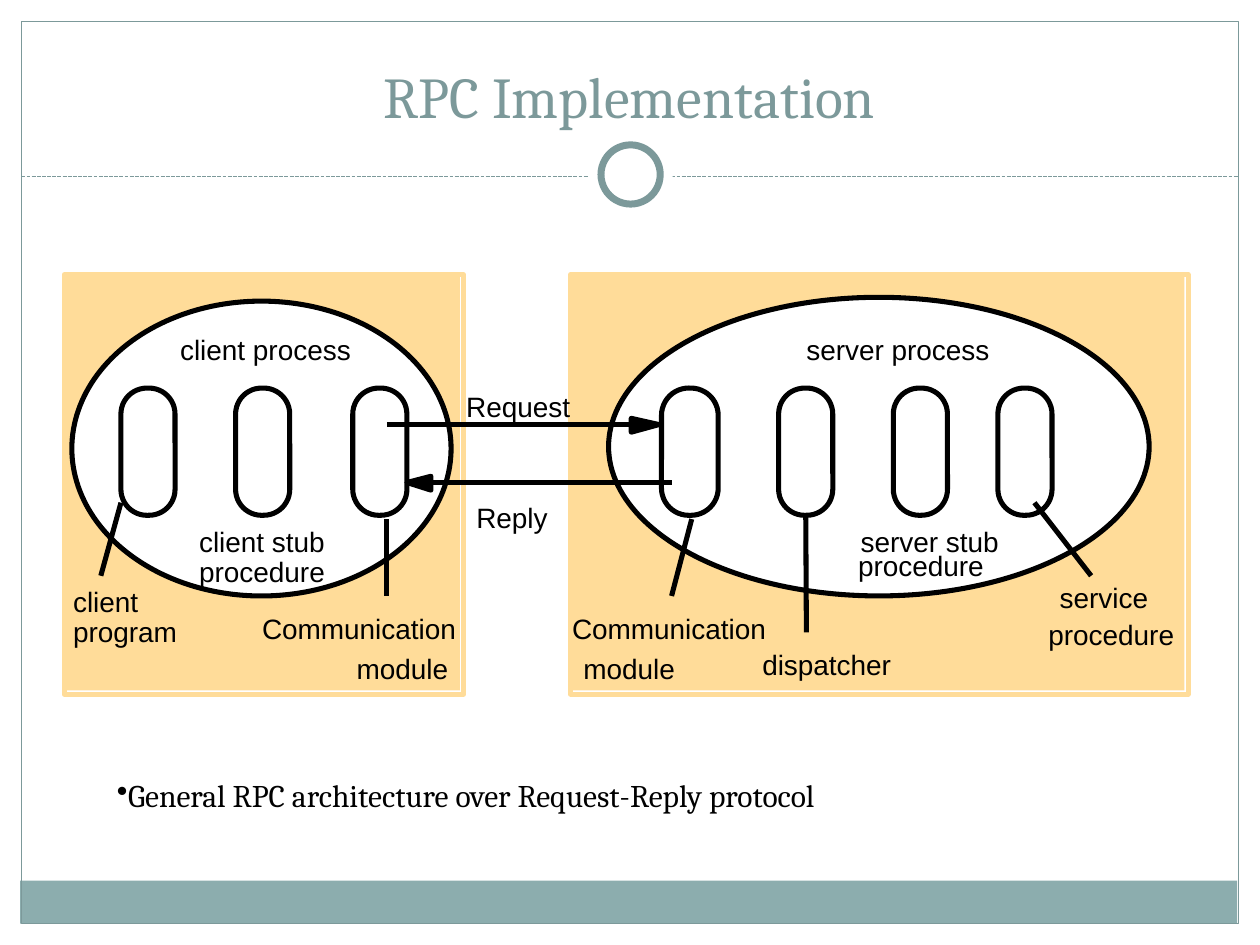
from dataclasses import dataclass

from lxml.etree import SubElement
from pptx import Presentation
from pptx.dml.color import RGBColor
from pptx.enum.dml import MSO_LINE
from pptx.enum.shapes import MSO_CONNECTOR, MSO_SHAPE
from pptx.enum.text import MSO_ANCHOR, PP_ALIGN
from pptx.oxml.ns import qn
from pptx.util import Inches, Pt


@dataclass(frozen=True)
class Theme:
    white: RGBColor = RGBColor.from_string("FFFFFF")
    ink: RGBColor = RGBColor.from_string("000000")
    teal: RGBColor = RGBColor.from_string("7C999A")
    footer: RGBColor = RGBColor.from_string("8CADAE")
    panel: RGBColor = RGBColor.from_string("FFDC99")
    heading_font: str = "Cambria"
    label_font: str = "Arial"
    title_size: Pt = Pt(33)
    note_size: Pt = Pt(18)
    label_size: Pt = Pt(16)
    stroke: Pt = Pt(2.88)
    thin: Pt = Pt(0.75)
    ring: Pt = Pt(4)


theme = Theme()
deck = Presentation()
deck.slide_width = Inches(10)
deck.slide_height = Inches(7.5)
page = deck.slides.add_slide(deck.slide_layouts[6])


def style_shape(shape, fill=None, line=None, width=theme.stroke):
    shape.shadow.inherit = False
    if fill is None:
        shape.fill.background()
    else:
        shape.fill.solid()
        shape.fill.fore_color.rgb = fill
    if line is None:
        shape.line.fill.background()
    else:
        shape.line.color.rgb = line
        shape.line.width = width
    return shape


def add_line(start, end, color=theme.ink, width=theme.stroke):
    line = page.shapes.add_connector(MSO_CONNECTOR.STRAIGHT, *map(Inches, start + end))
    line.line.color.rgb = color
    line.line.width = width
    SubElement(line._element.spPr, qn("a:effectLst"))
    return line


footer = page.shapes.add_shape(MSO_SHAPE.RECTANGLE, Inches(0.16), Inches(6.99), Inches(9.66), Inches(0.34))
style_shape(footer, theme.footer)
frame = page.shapes.add_shape(MSO_SHAPE.RECTANGLE, Inches(0.17), Inches(0.17), Inches(9.66), Inches(7.16))
style_shape(frame, line=theme.teal, width=theme.thin)
divider = add_line((0.17, 1.4), (9.83, 1.4), theme.teal, theme.thin)
divider.line.dash_style = MSO_LINE.SQUARE_DOT
for inset, outline in ((0, None), (0.1, theme.teal)):
    size = Inches(0.67 - 2 * inset)
    circle = page.shapes.add_shape(MSO_SHAPE.OVAL, Inches(4.67 + inset), Inches(1.05 + inset), size, size)
    style_shape(circle, theme.white, outline, theme.ring)

title = page.shapes.add_textbox(Inches(0.33), Inches(0.25), Inches(9.33), Inches(0.83))
title.text_frame.word_wrap = True
title.text_frame.vertical_anchor = MSO_ANCHOR.BOTTOM
para = title.text_frame.paragraphs[0]
para.text = "RPC Implementation"
para.alignment = PP_ALIGN.CENTER
para.font.name = theme.heading_font
para.font.size = theme.title_size
para.font.color.rgb = theme.teal

for left, width in ((0.51, 3.14), (4.53, 4.87)):
    for growth, fill, outline in ((0, theme.panel, None), (0.03, None, theme.panel)):
        panel = page.shapes.add_shape(
            MSO_SHAPE.RECTANGLE, Inches(left), Inches(2.18), Inches(width + growth), Inches(3.3 + growth))
        style_shape(panel, fill, outline)

for left, top, width, height in ((4.83, 2.36, 4.29, 2.37), (0.57, 2.39, 3.01, 2.34)):
    process = page.shapes.add_shape(MSO_SHAPE.OVAL, Inches(left), Inches(top), Inches(width), Inches(height))
    style_shape(process, theme.white, theme.ink)

modules = {}
for name, left, width in (
    ("client program", 0.96, 0.43),
    ("client stub", 1.87, 0.43),
    ("client communication", 2.8, 0.43),
    ("server communication", 5.25, 0.45),
    ("dispatcher", 6.18, 0.43),
    ("server stub", 7.09, 0.43),
    ("service", 7.92, 0.43),
):
    module = page.shapes.add_shape(
        MSO_SHAPE.ROUNDED_RECTANGLE, Inches(left), Inches(3.08), Inches(width), Inches(1.01))
    module.adjustments[0] = 0.48
    modules[name] = style_shape(module, line=theme.ink)

for tail, base, tip, y in ((3.07, 5.01, 5.23, 3.37), (5.33, 3.42, 3.23, 3.83)):
    add_line((tail, y), (base, y))
    builder = page.shapes.build_freeform(Inches(base), Inches(y - 0.05))
    builder.add_line_segments([(Inches(tip), Inches(y)), (Inches(base), Inches(y + 0.06))])
    style_shape(builder.convert_to_shape(), theme.ink, theme.ink)

for start, end in (
    ((0.8, 4.57), (0.96, 3.99)),
    ((3.07, 4.73), (3.07, 4.12)),
    ((5.33, 4.73), (5.49, 4.12)),
    ((8.66, 4.57), (8.21, 3.99)),
):
    add_line(start, end)
dispatcher_line = add_line((6.4, 5.02), (6.4, 4.09))
dispatcher_line.end_connect(modules["dispatcher"], 2)

for text, left, top, width in (
    ("client process", 1.43, 2.64, 1.43),
    ("server process", 6.4, 2.64, 1.53),
    ("Request", 3.7, 3.09, 0.84),
    ("Reply", 3.78, 3.97, 0.58),
    ("client stub", 1.58, 4.16, 1.01),
    ("procedure", 1.58, 4.4, 1.01),
    ("server stub", 6.83, 4.16, 1.11),
    ("procedure", 6.81, 4.35, 1.01),
    ("client", 0.58, 4.64, 0.59),
    ("program", 0.58, 4.88, 0.9),
    ("Communication", 2.08, 4.85, 1.56),
    ("module", 2.83, 5.17, 0.74),
    ("Communication", 4.54, 4.85, 1.56),
    ("module", 4.63, 5.17, 0.74),
    ("dispatcher", 6.05, 5.14, 1.04),
    ("service", 8.41, 4.61, 0.78),
    ("procedure", 8.32, 4.9, 1.01),
):
    box = page.shapes.add_textbox(Inches(left), Inches(top), Inches(width), Inches(0.24))
    label = box.text_frame
    label.word_wrap = False
    label.margin_left = label.margin_right = label.margin_top = label.margin_bottom = 0
    para = label.paragraphs[0]
    para.text = text
    para.font.name = theme.label_font
    para.font.size = theme.label_size
    para.font.color.rgb = theme.ink

note = page.shapes.add_textbox(Inches(0.83), Inches(6.11), Inches(8.58), Inches(0.4))
note.text_frame.word_wrap = True
para = note.text_frame.paragraphs[0]
para.text = "General RPC architecture over Request-Reply protocol"
para.font.name = theme.heading_font
para.font.size = theme.note_size
para.font.color.rgb = theme.ink
bullet = para._p.get_or_add_pPr()
bullet.insert(0, bullet.makeelement(qn("a:buChar"), {"char": "•"}))

deck.save("out.pptx")
